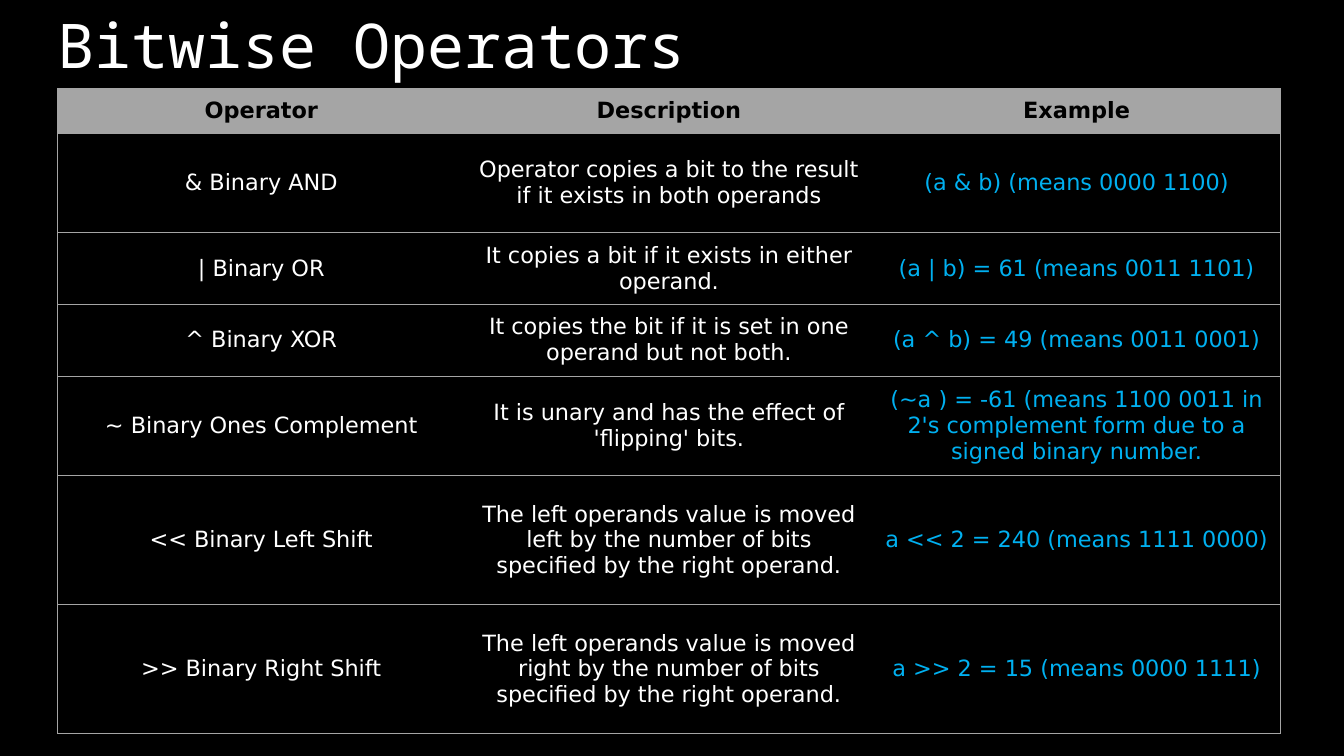
from pptx import Presentation
from pptx.dml.color import RGBColor
from pptx.enum import text as txt
from pptx.oxml import parse_xml
from pptx.oxml.ns import nsdecls
from pptx.util import Inches, Pt

BLACK = RGBColor(0x00, 0x00, 0x00)
WHITE = RGBColor(0xFF, 0xFF, 0xFF)
GRAY = RGBColor(0xA5, 0xA5, 0xA5)
BLUE = RGBColor(0x00, 0xB0, 0xF0)

PLAIN = "{2D5ABB26-0587-4C30-8999-92F81FD0307C}"  # table style without grid
WIDTH = 12.13
HEIGHTS = [0.44, 0.99, 0.71, 0.71, 0.99, 1.28, 1.28]
ROWS = [
    ("Operator", "Description", "Example"),
    ("& Binary AND",
     "Operator copies a bit to the result if it exists in both operands",
     "(a & b) (means 0000 1100)"),
    ("| Binary OR",
     "It copies a bit if it exists in either operand.",
     "(a | b) = 61 (means 0011 1101)"),
    ("^ Binary XOR",
     "It copies the bit if it is set in one operand but not both.",
     "(a ^ b) = 49 (means 0011 0001)"),
    ("~ Binary Ones Complement",
     "It is unary and has the effect of 'flipping' bits.",
     "(~a ) = -61 (means 1100 0011 in 2's complement form due to a "
     "signed binary number."),
    ("<< Binary Left Shift",
     "The left operands value is moved left by the number of bits "
     "specified by the right operand.",
     "a << 2 = 240 (means 1111 0000)"),
    (">> Binary Right Shift",
     "The left operands value is moved right by the number of bits "
     "specified by the right operand.",
     "a >> 2 = 15 (means 0000 1111)"),
]


def set_font(par, name, size, color, bold=False):
    font = par.font
    font.name, font.size, font.bold = name, Pt(size), bold
    font.color.rgb = color


def add_title(slide, words):
    title = slide.shapes.title
    title.left, title.top = Inches(0.47), Inches(-0.24)
    title.width, title.height = Inches(11.5), Inches(1.45)
    frame = title.text_frame
    frame.text = words
    frame.auto_size = txt.MSO_AUTO_SIZE.NONE
    frame.vertical_anchor = txt.MSO_ANCHOR.MIDDLE
    par = frame.paragraphs[0]
    par.alignment = txt.PP_ALIGN.LEFT
    par.line_spacing = 0.9
    set_font(par, "Noto Sans Mono", 44, WHITE)


def add_edges(cell, sides):
    props = cell._tc.get_or_add_tcPr()
    for side in sides:
        props.append(parse_xml(
            f'<a:ln{side} {nsdecls("a")} w="{Pt(0.5)}"><a:solidFill>'
            f'<a:srgbClr val="{GRAY}"/></a:solidFill></a:ln{side}>'))


def fill_cell(cell, words, head, color, sides):
    cell.text = words
    cell.vertical_anchor = txt.MSO_ANCHOR.MIDDLE
    par = cell.text_frame.paragraphs[0]
    par.alignment = txt.PP_ALIGN.CENTER
    set_font(par, "DejaVu Sans", 16, color, head)
    add_edges(cell, sides)
    if head:
        cell.fill.solid()
        cell.fill.fore_color.rgb = GRAY
    else:
        cell.fill.background()


def add_grid(slide):
    count = len(ROWS[0])
    table = slide.shapes.add_table(
        len(ROWS), count, Inches(0.57), Inches(0.88),
        Inches(WIDTH), Inches(sum(HEIGHTS))).table
    table.horz_banding = False
    table._tbl.tblPr[0].text = PLAIN
    for col in table.columns:
        col.width = Inches(WIDTH / count)
    for r, (row, tall) in enumerate(zip(ROWS, HEIGHTS)):
        table.rows[r].height = Inches(tall)
        for c, words in enumerate(row):
            # Outer frame plus row lines, no inner column lines
            sides = ["L"] * (c == 0) + ["R"] * (c == count - 1) + ["T", "B"]
            color = BLACK if r == 0 else BLUE if c == count - 1 else WHITE
            fill_cell(table.cell(r, c), words, r == 0, color, sides)


def main():
    deck = Presentation()
    deck.slide_width, deck.slide_height = Inches(13.33), Inches(7.5)
    slide = deck.slides.add_slide(deck.slide_layouts[5])

    # Background
    back = slide.background.fill
    back.solid()
    back.fore_color.rgb = BLACK

    # Content
    add_title(slide, "Bitwise Operators")
    add_grid(slide)
    deck.save("out.pptx")


if __name__ == "__main__":
    main()
